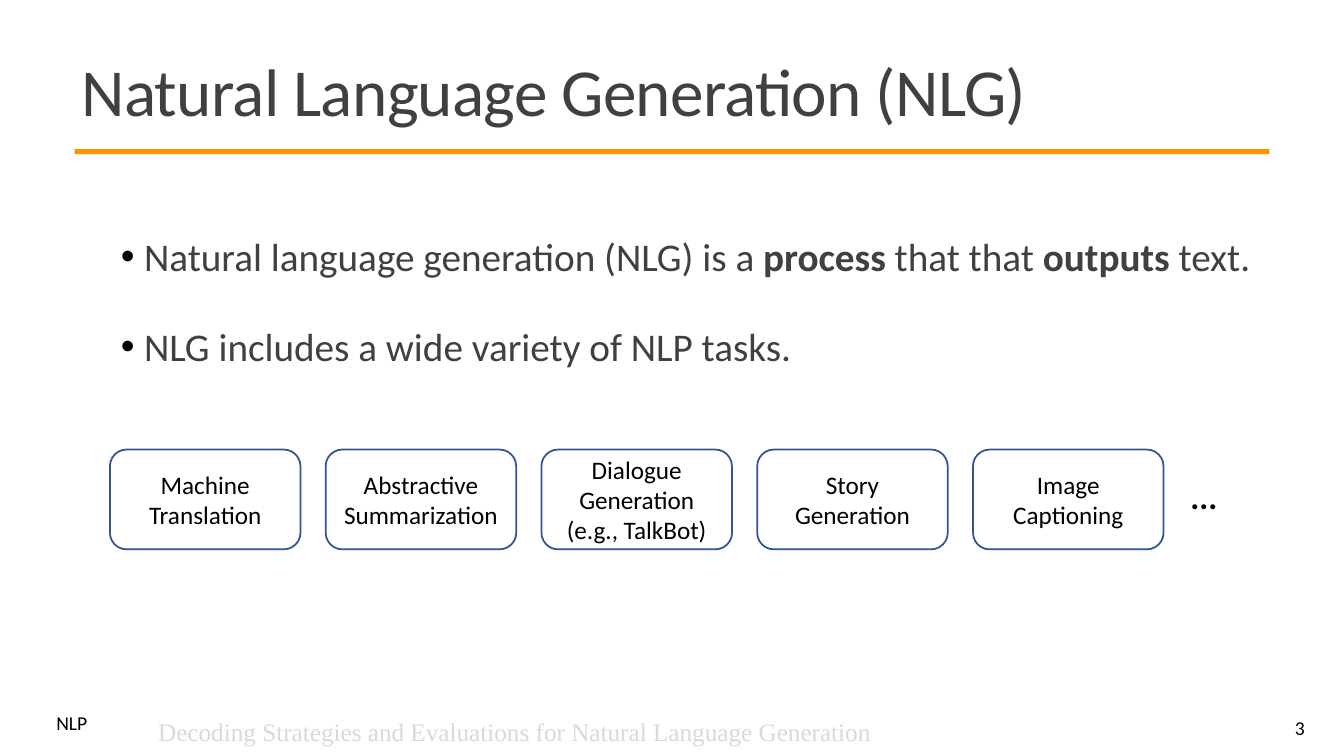
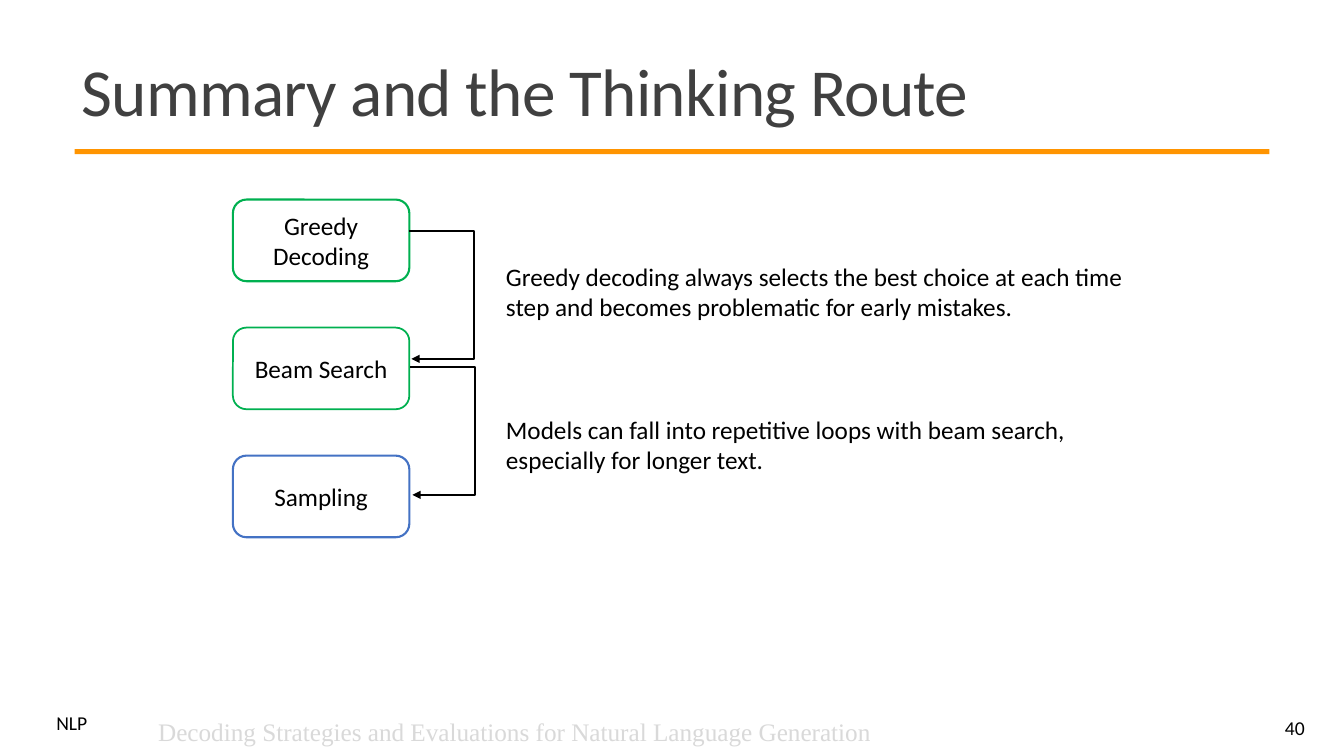
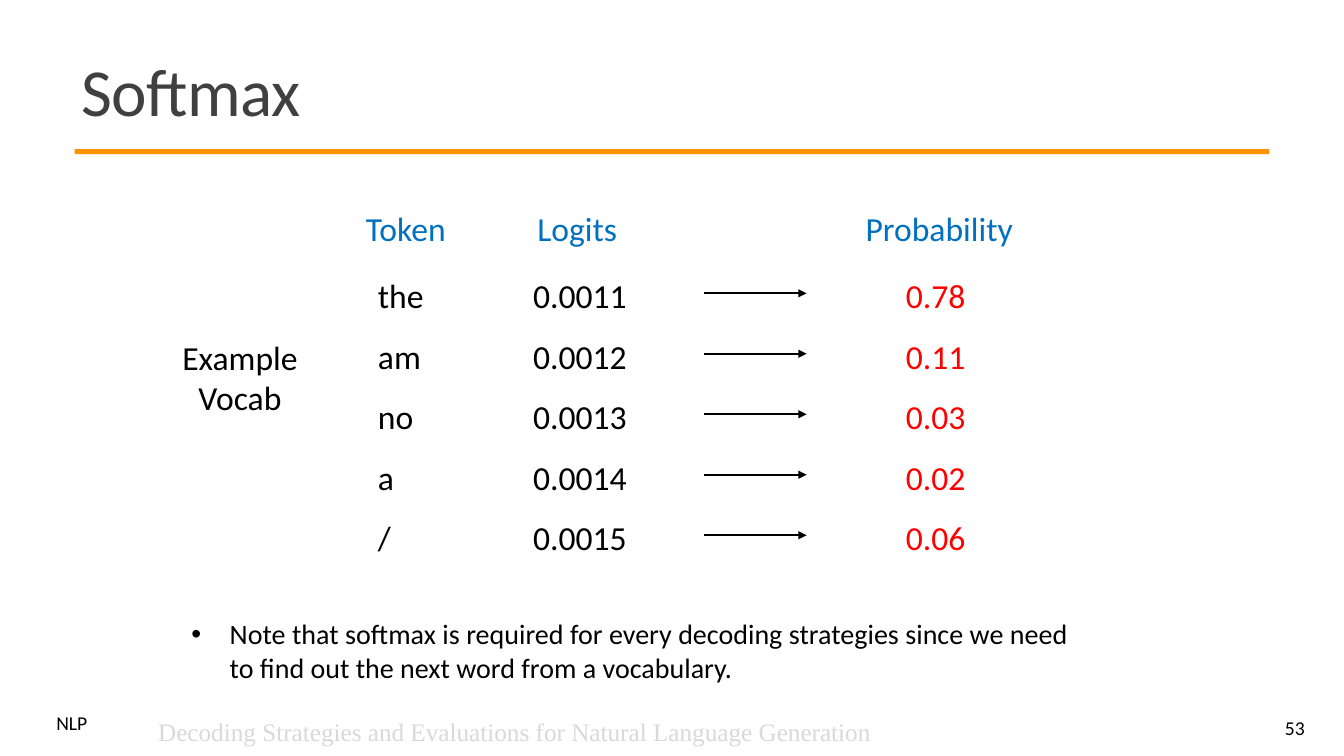
"""Build three slides on natural language generation and decoding."""

from dataclasses import dataclass

from lxml import etree
from pptx import Presentation
from pptx.dml.color import RGBColor
from pptx.enum.shapes import MSO_CONNECTOR, MSO_SHAPE
from pptx.enum.text import MSO_ANCHOR, PP_ALIGN
from pptx.oxml.ns import qn
from pptx.shapes.autoshape import Shape
from pptx.shapes.connector import Connector
from pptx.slide import Slide
from pptx.util import Inches, Pt

LEFT, CENTER, RIGHT, JUSTIFY = PP_ALIGN.LEFT, PP_ALIGN.CENTER, PP_ALIGN.RIGHT, PP_ALIGN.JUSTIFY
TOP, MIDDLE = MSO_ANCHOR.TOP, MSO_ANCHOR.MIDDLE
RECTANGLE, ROUNDED = MSO_SHAPE.RECTANGLE, MSO_SHAPE.ROUNDED_RECTANGLE
STRAIGHT, ELBOW = MSO_CONNECTOR.STRAIGHT, MSO_CONNECTOR.ELBOW

BLACK = RGBColor(0x00, 0x00, 0x00)
DARK_GRAY = RGBColor(0x40, 0x40, 0x40)
LIGHT_GRAY = RGBColor(0xD9, 0xD9, 0xD9)
ORANGE = RGBColor(0xFF, 0x94, 0x00)
NAVY = RGBColor(0x32, 0x54, 0x91)
BLUE = RGBColor(0x44, 0x72, 0xC4)
HEADING_BLUE = RGBColor(0x00, 0x70, 0xC0)
GREEN = RGBColor(0x00, 0xB0, 0x50)
RED = RGBColor(0xFF, 0x00, 0x00)

BODY_FONT = "Calibri"
FOOTER_FONT = "Times New Roman"
FOOTER = "Decoding Strategies and Evaluations for Natural Language Generation"


@dataclass(frozen=True)
class Box:
    """A place on the slide, in inches."""

    left: float
    top: float
    width: float
    height: float

    def lengths(self) -> tuple[Inches, ...]:
        """Return left, top, width and height as lengths."""
        return tuple(Inches(value) for value in (self.left, self.top, self.width, self.height))


@dataclass(frozen=True)
class Step:
    """A decoding method in the thinking route."""

    label: str
    color: RGBColor
    line_width: float


@dataclass(frozen=True)
class Remark:
    """An explanation beside the thinking route."""

    text: str
    box: Box


@dataclass(frozen=True)
class Column:
    """A headed column of vocabulary values."""

    heading: str
    heading_box: Box
    values: tuple[str, ...]
    values_box: Box
    color: RGBColor = BLACK
    align: PP_ALIGN = LEFT


TASKS = (
    "Machine Translation",
    "Abstractive Summarization",
    "Dialogue Generation\n(e.g., TalkBot)",
    "Story Generation",
    "Image Captioning",
)
STEPS = (
    Step("Greedy Decoding", GREEN, 1.5),
    Step("Beam Search", GREEN, 1.25),
    Step("Sampling", BLUE, 1.5),
)
REMARKS = (
    Remark(
        "Greedy decoding always selects the best choice at each time step "
        "and becomes problematic for early mistakes.",
        Box(4.92, 2.54, 6.62, 0.71),
    ),
    Remark(
        "Models can fall into repetitive loops with beam search, especially for longer text.",
        Box(4.92, 4.06, 5.83, 0.71),
    ),
)
COLUMNS = (
    Column(
        "Token", Box(3.47, 2.01, 1.11, 0.5),
        ("the", "am", "no", "a", "/"), Box(3.65, 2.48, 1.89, 3.07),
    ),
    Column(
        "Logits", Box(5.17, 2.01, 1.11, 0.5),
        ("0.0011", "0.0012", "0.0013", "0.0014", "0.0015"), Box(5.19, 2.48, 1.36, 3.07),
    ),
    Column(
        "Probability", Box(8.37, 2.01, 1.89, 0.5),
        ("0.78", "0.11", "0.03", "0.02", "0.06"), Box(8.6, 2.48, 1.36, 3.07), RED, CENTER,
    ),
)


def write_text(
    shape: Shape,
    text: str,
    *,
    size: float = 18,
    color: RGBColor = BLACK,
    font: str = BODY_FONT,
    bold: bool = False,
    align: PP_ALIGN = LEFT,
    anchor: MSO_ANCHOR = TOP,
    line_spacing: float = 1.0,
    space_before: float = 0,
    space_after: float = 0,
    bullet_indent: float = 0,
    character_spacing: float = 0,
    side_inset: float = 0.1,
) -> None:
    """Write one paragraph per line, with bold parts between double asterisks."""
    frame = shape.text_frame
    frame.word_wrap = True
    frame.vertical_anchor = anchor
    frame.margin_left = frame.margin_right = Inches(side_inset)
    for index, line in enumerate(text.split("\n")):
        paragraph = frame.add_paragraph() if index else frame.paragraphs[0]
        if bullet_indent:
            add_bullet(paragraph, bullet_indent)
        paragraph.alignment = align
        paragraph.line_spacing = line_spacing
        paragraph.space_before = Pt(space_before if index else 0)
        paragraph.space_after = Pt(space_after)
        for part_index, part in enumerate(line.split("**")):
            run = paragraph.add_run()
            run.text = part
            run.font.name = font
            run.font.size = Pt(size)
            run.font.bold = bold or part_index % 2 == 1
            run.font.color.rgb = color
            if character_spacing:
                run._r.get_or_add_rPr().set("spc", str(round(character_spacing * 100)))


def add_bullet(paragraph, indent: float) -> None:
    """Give the paragraph a black round bullet and a hanging indent."""
    properties = paragraph._p.get_or_add_pPr()
    properties.set("marL", str(Inches(indent)))
    properties.set("indent", str(-Inches(indent)))
    bullet_color = etree.SubElement(properties, qn("a:buClr"))
    etree.SubElement(bullet_color, qn("a:srgbClr"), val=str(BLACK))
    etree.SubElement(properties, qn("a:buFont"), typeface="Arial")
    etree.SubElement(properties, qn("a:buChar"), char="•")


def add_text(slide: Slide, box: Box, text: str, **text_format) -> None:
    """Add a text box."""
    write_text(slide.shapes.add_textbox(*box.lengths()), text, **text_format)


def add_rounded_box(
    slide: Slide, box: Box, text: str, color: RGBColor, line_width: float
) -> None:
    """Add an outlined rounded box with centred text."""
    shape = slide.shapes.add_shape(ROUNDED, *box.lengths())
    shape.shadow.inherit = False
    shape.fill.background()
    shape.line.color.rgb = color
    shape.line.width = Pt(line_width)
    write_text(shape, text, align=CENTER, anchor=MIDDLE)


def add_arrow(
    slide: Slide, kind: MSO_CONNECTOR, start: tuple[float, float], end: tuple[float, float]
) -> Connector:
    """Add a black connector with an arrowhead at its end."""
    points = (Inches(value) for value in (*start, *end))
    connector = slide.shapes.add_connector(kind, *points)
    connector.line.color.rgb = BLACK
    connector.line.width = Pt(1.5)
    etree.SubElement(connector.line._get_or_add_ln(), qn("a:tailEnd"), type="triangle")
    etree.SubElement(connector._element.spPr, qn("a:effectLst"))
    return connector


def add_return_arrow(slide: Slide, left: float, top: float, drop: float, reach: float) -> None:
    """Add an arrow that goes out to the right, down and back."""
    width = 0.02
    connector = add_arrow(slide, ELBOW, (left, top), (left + width, top + drop))
    adjustments = connector._element.spPr.find(qn("a:prstGeom")).get_or_add_avLst()
    bend = round(reach / width * 100000)
    etree.SubElement(adjustments, qn("a:gd"), name="adj1", fmla=f"val {bend}")


def add_titled_slide(presentation, title: str, number: int) -> Slide:
    """Add a slide with the shared title, band and footer."""
    slide = presentation.slides.add_slide(presentation.slide_layouts[6])
    band = slide.shapes.add_shape(RECTANGLE, *Box(0.74, 1.48, 11.85, 0.05).lengths())
    band.shadow.inherit = False
    band.fill.solid()
    band.fill.fore_color.rgb = ORANGE
    band.line.fill.background()
    add_text(slide, Box(0.46, 7.05, 0.61, 0.29), "NLP", size=14, line_spacing=0.8)
    add_text(
        slide, Box(0.71, 0.39, 11.94, 1.13), title, size=48, color=DARK_GRAY,
        anchor=MIDDLE, line_spacing=0.85, character_spacing=-0.5,
    )
    add_text(
        slide, Box(11.61, 7.02, 1.43, 0.4), str(number), size=14, align=RIGHT, anchor=MIDDLE
    )
    add_text(slide, Box(1.47, 7.06, 7.52, 0.4), FOOTER, color=LIGHT_GRAY, font=FOOTER_FONT)
    return slide


def build_generation_slide(presentation) -> None:
    """Define language generation and show its tasks."""
    slide = add_titled_slide(presentation, "Natural Language Generation (NLG)", 3)
    add_text(
        slide, Box(1.2, 2.02, 11.43, 1.84),
        "Natural language generation (NLG) is a **process** that that **outputs** text.\n"
        "NLG includes a wide variety of NLP tasks.",
        size=28, color=DARK_GRAY, line_spacing=1.5, space_before=12, space_after=2,
        bullet_indent=0.23, side_inset=0,
    )
    for index, task in enumerate(TASKS):
        add_rounded_box(slide, Box(1.09 + 2.14 * index, 4.46, 1.89, 0.99), task, NAVY, 1.25)
    add_text(slide, Box(11.54, 4.67, 0.8, 0.5), "...", size=24, bold=True, align=CENTER)


def build_route_slide(presentation) -> None:
    """Show the route from greedy decoding to sampling."""
    slide = add_titled_slide(presentation, "Summary and the Thinking Route", 40)
    pitch = 1.27
    for index, step in enumerate(STEPS):
        box = Box(2.31, 1.98 + pitch * index, 1.75, 0.81)
        add_rounded_box(slide, box, step.label, step.color, step.line_width)
    for index, remark in enumerate(REMARKS):
        add_return_arrow(slide, 4.06 + 0.01 * index, 2.29 + 1.35 * index, pitch, 0.64)
        add_text(slide, remark.box, remark.text)


def build_softmax_slide(presentation) -> None:
    """Show how softmax turns logits into probabilities."""
    slide = add_titled_slide(presentation, "Softmax", 53)
    add_text(slide, Box(1.67, 3.29, 1.42, 0.91), "Example\nVocab", size=24, align=CENTER)
    for column in COLUMNS:
        add_text(
            slide, column.heading_box, column.heading, size=24, color=HEADING_BLUE, align=CENTER
        )
        add_text(
            slide, column.values_box, "\n".join(column.values), size=24,
            color=column.color, align=column.align, line_spacing=1.5,
        )
    for index in range(len(COLUMNS[0].values)):
        top = 2.91 + 0.6 * index
        add_arrow(slide, STRAIGHT, (6.98, top), (8, top))
    add_text(
        slide, Box(1.8, 6.07, 8.89, 0.77),
        "Note that softmax is required for every decoding strategies since we need "
        "to find out the next word from a vocabulary.",
        size=20, align=JUSTIFY, bullet_indent=0.38,
    )


def main() -> None:
    """Build and save the presentation."""
    presentation = Presentation()
    presentation.slide_width = Inches(13.33)
    presentation.slide_height = Inches(7.5)
    build_generation_slide(presentation)
    build_route_slide(presentation)
    build_softmax_slide(presentation)
    presentation.save("out.pptx")


if __name__ == "__main__":
    main()
